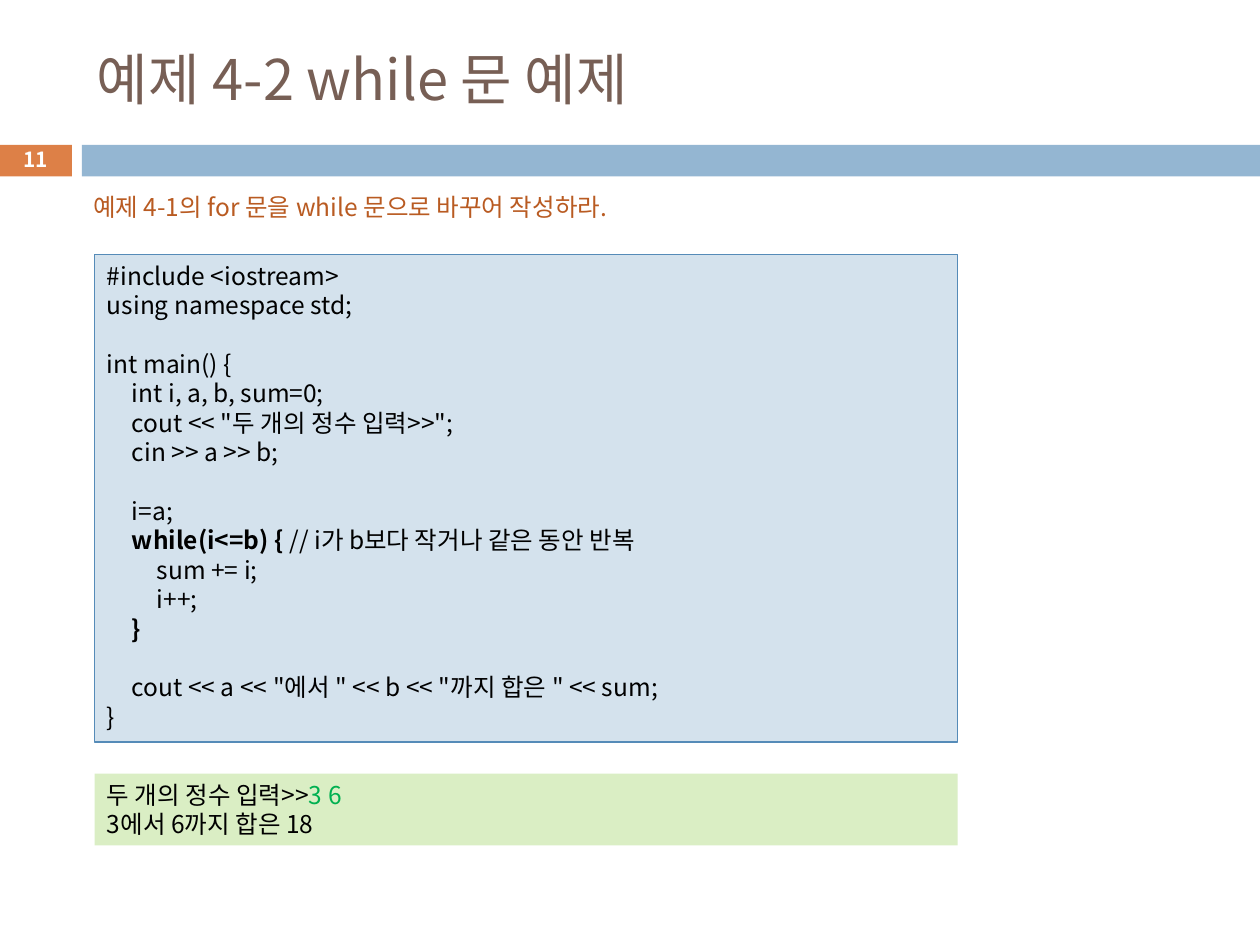
import pptx
import pptx.dml.color
import pptx.enum.shapes
import pptx.enum.text
import pptx.oxml.ns
import pptx.util
from lxml import etree
from pptx.util import Pt

FONT = "Noto Sans CJK KR"
ALIGN = pptx.enum.text.PP_ALIGN
ANCHOR = pptx.enum.text.MSO_ANCHOR
TAB_STEP = 14.25

# Each line is a list of (text, bold, colour) runs
CODE = [
    [("#include <iostream>", False, None)],
    [("using namespace std;", False, None)],
    [],
    [("int main() {", False, None)],
    [("\tint i, a, b, sum=0;", False, None)],
    [("\tcout << \"두 개의 정수 입력>>\";", False, None)],
    [("\tcin >> a >> b;", False, None)],
    [],
    [("\ti=a;", False, None)],
    [("\t", False, None), ("while(i<=b) {", True, None),
     (" // i가 b보다 작거나 같은 동안 반복", False, None)],
    [("\t\tsum += i;", False, None)],
    [("\t\ti++;", False, None)],
    [("\t", False, None), ("}", True, None)],
    [],
    [("\tcout << a << \"에서 \" << b << \"까지 합은 \" << sum;", False, None)],
    [("}", False, None)],
]
OUTPUT = [
    [("두 개의 정수 입력>>", False, None), ("3 6", False, "00B050")],
    [("3에서 6까지 합은 18", False, None)],
]


def rgb(colour):
    return pptx.dml.color.RGBColor.from_string(colour)


def format_paragraph(paragraph, size, colour, align=ALIGN.LEFT):
    paragraph.alignment = align
    paragraph.font.size = Pt(size)
    paragraph.font.color.rgb = rgb(colour)
    paragraph.font.name = FONT
    # Korean text takes the East Asian typeface
    properties = paragraph.font._element
    etree.SubElement(properties, pptx.oxml.ns.qn("a:ea"), typeface=FONT)


presentation = pptx.Presentation()
presentation.slide_width = Pt(720)
presentation.slide_height = Pt(540)
slide = presentation.slides.add_slide(presentation.slide_layouts[5])

# Band under the title
for left, width, fill in [(-0.7, 41.8, "DD8047"), (46.8, 673.2, "94B6D2")]:
    band = slide.shapes.add_shape(
        pptx.enum.shapes.MSO_SHAPE.RECTANGLE,
        Pt(left), Pt(82.8), Pt(width), Pt(18))
    band.shadow.inherit = False
    band.fill.solid()
    band.fill.fore_color.rgb = rgb(fill)
    band.line.fill.background()

# Title
title = slide.shapes.title
title.left, title.top, title.width, title.height = Pt(48.2), Pt(18), Pt(642.2), Pt(53.3)
title.text_frame.text = "예제 4-2 while 문 예제"
title.text_frame.vertical_anchor = ANCHOR.MIDDLE
format_paragraph(title.text_frame.paragraphs[0], 32, "775F55")

# Slide number and task
for left, top, width, height, text, size, colour, bold, align in [
    (-0.7, 81.4, 41.8, 19.4, "11", 11.9, "FFFFFF", True, ALIGN.CENTER),
    (46.1, 105.8, 540.7, 24.5, "예제 4-1의 for 문을 while 문으로 바꾸어 작성하라.",
     14, "B95B22", False, ALIGN.LEFT),
]:
    label = slide.shapes.add_textbox(Pt(left), Pt(top), Pt(width), Pt(height))
    label.text_frame.word_wrap = True
    label.text_frame.vertical_anchor = ANCHOR.MIDDLE
    paragraph = label.text_frame.paragraphs[0]
    paragraph.text = text
    format_paragraph(paragraph, size, colour, align)
    paragraph.font.bold = bold

# Program and its output
for top, height, fill, border, lines in [
    (145.4, 278.6, "D4E2ED", "558BB8", CODE),
    (442.1, 41, "DAEEC4", None, OUTPUT),
]:
    panel = slide.shapes.add_shape(
        pptx.enum.shapes.MSO_SHAPE.RECTANGLE,
        Pt(54), Pt(top), Pt(493.2), Pt(height))
    panel.shadow.inherit = False
    panel.fill.solid()
    panel.fill.fore_color.rgb = rgb(fill)
    if border:
        panel.line.color.rgb = rgb(border)
        panel.line.width = Pt(0.75)
    else:
        panel.line.fill.background()
    frame = panel.text_frame
    frame.word_wrap = True
    frame.vertical_anchor = ANCHOR.TOP
    for index, line in enumerate(lines):
        paragraph = frame.add_paragraph() if index else frame.paragraphs[0]
        paragraph.line_spacing = Pt(16.8)
        # Tab stops for code indentation
        tabs = etree.SubElement(
            paragraph._p.get_or_add_pPr(), pptx.oxml.ns.qn("a:tabLst"))
        for level in (1, 2):
            etree.SubElement(tabs, pptx.oxml.ns.qn("a:tab"),
                             pos=str(Pt(TAB_STEP * level)), algn="l")
        format_paragraph(paragraph, 14, "000000")
        for text, bold, colour in line:
            run = paragraph.add_run()
            run.text = text
            if bold:
                run.font.bold = True
            if colour:
                run.font.color.rgb = rgb(colour)

presentation.save("out.pptx")
